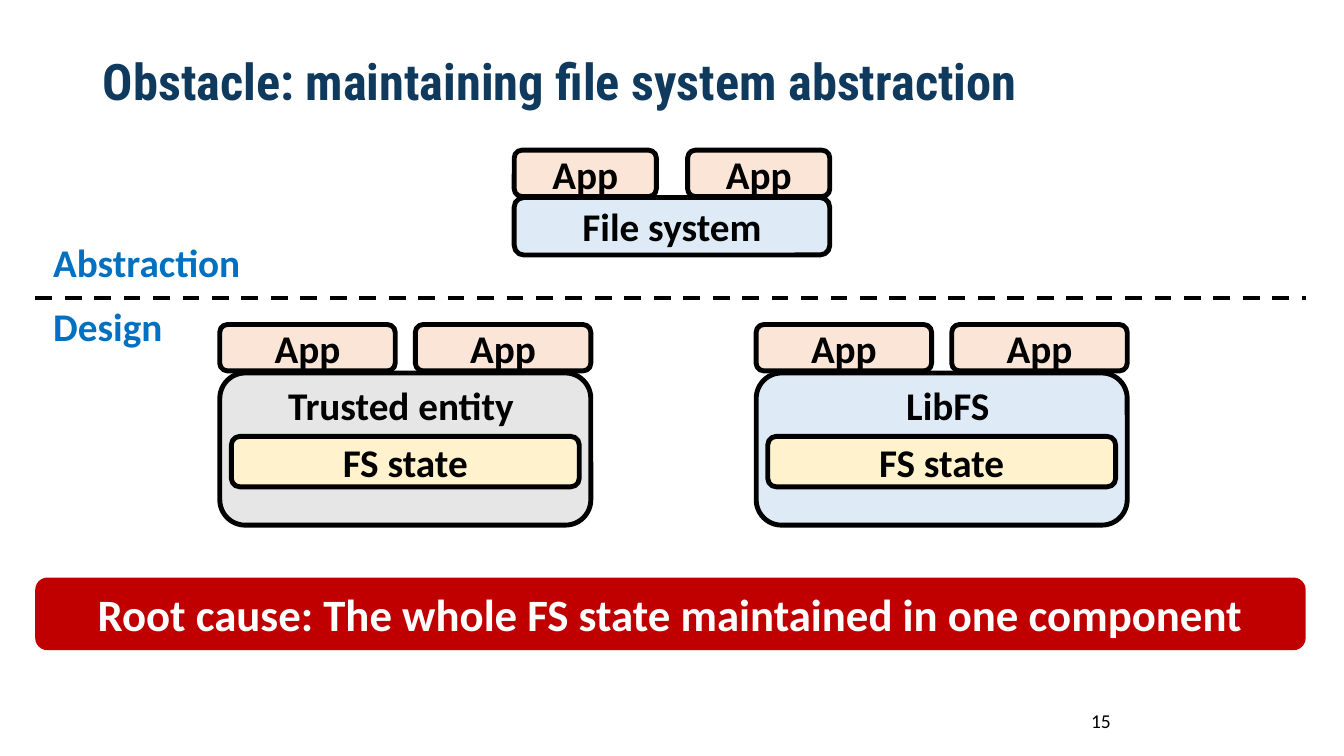
from pptx import Presentation
from pptx.dml.color import RGBColor
from pptx.enum.dml import MSO_LINE
from pptx.enum.shapes import MSO_CONNECTOR, MSO_SHAPE
from pptx.enum.text import MSO_ANCHOR, MSO_AUTO_SIZE, PP_ALIGN
from pptx.oxml.ns import qn
from pptx.util import Inches, Pt

ROUNDED = MSO_SHAPE.ROUNDED_RECTANGLE
STRAIGHT = MSO_CONNECTOR.STRAIGHT
DASH = MSO_LINE.DASH
MIDDLE, TOP = MSO_ANCHOR.MIDDLE, MSO_ANCHOR.TOP
LEFT, CENTER = PP_ALIGN.LEFT, PP_ALIGN.CENTER
NO_AUTOFIT = MSO_AUTO_SIZE.NONE

BLACK = RGBColor(0x00, 0x00, 0x00)
WHITE = RGBColor(0xFF, 0xFF, 0xFF)
NAVY = RGBColor(0x0F, 0x3A, 0x5D)
BLUE = RGBColor(0x00, 0x70, 0xC0)
RED = RGBColor(0xC0, 0x00, 0x00)
PEACH = RGBColor(0xFB, 0xE5, 0xD6)
PALE_BLUE = RGBColor(0xDE, 0xEB, 0xF7)
GRAY = RGBColor(0xE7, 0xE6, 0xE6)
CREAM = RGBColor(0xFF, 0xF2, 0xCC)

# Content
TITLE = "Obstacle: maintaining file system abstraction"
APP, FILE_SYSTEM, STATE = "App", "File system", "FS state"
ROOT_CAUSE = "Root cause: The whole FS state maintained in one component"
PAGE_NUMBER = "15"
LEVELS = [("Abstraction", 2.32), ("Design", 2.95)]  # label, top
# label, fill, panel left, label left, label width
DESIGNS = [
    ("Trusted entity", GRAY, 2.18, 2.76, 3.21),
    ("LibFS", PALE_BLUE, 7.5, 8.89, 1.06),
]

# Shared geometry
MARGIN, FULL_WIDTH = 0.35, 12.6
DIVIDER_TOP = 2.96
APP_HEIGHT = 0.46
STACK_LEFT, STACK_WIDTH = 5.1, 3.13
PANEL_WIDTH, STATE_WIDTH = 3.68, 3.45


def write(shape, text, size=28, color=BLACK, align=CENTER, anchor=MIDDLE,
          bold=True, font="Calibri"):
    frame = shape.text_frame
    frame.text = text
    frame.word_wrap = True
    frame.auto_size = NO_AUTOFIT
    frame.vertical_anchor = anchor
    para = frame.paragraphs[0]
    para.alignment = align
    para.font.name = font
    para.font.size = Pt(size)
    para.font.bold = bold
    para.font.color.rgb = color


def add_box(page, left, top, width, height, fill, text="", outlined=True, **style):
    box = page.shapes.add_shape(
        ROUNDED, Inches(left), Inches(top), Inches(width), Inches(height))
    box.shadow.inherit = False
    box.fill.solid()
    box.fill.fore_color.rgb = fill
    if outlined:
        box.line.color.rgb = BLACK
        box.line.width = Pt(3.5)
    else:
        box.line.fill.background()
    if text:
        write(box, text, **style)


def add_label(page, left, top, width, height, text, **style):
    label = page.shapes.add_textbox(
        Inches(left), Inches(top), Inches(width), Inches(height))
    write(label, text, **style)


def add_app_pair(page, left, top, total_width, app_width):
    """Two apps, flush with the two ends of the block below."""
    for app_left in (left, left + total_width - app_width):
        add_box(page, app_left, top, app_width, APP_HEIGHT, PEACH, APP)


def main():
    deck = Presentation()
    deck.slide_width, deck.slide_height = Inches(13.33), Inches(7.5)
    page = deck.slides.add_slide(deck.slide_layouts.get_by_name("Title Only"))

    # Title and page number
    title = page.shapes.title
    title.left, title.top = Inches(0.92), Inches(0.4)
    title.width, title.height = Inches(12.32), Inches(0.87)
    write(title, TITLE, size=36, color=NAVY, align=LEFT, font="Roboto Condensed")
    title.text_frame.paragraphs[0].line_spacing = 0.9
    add_label(page, 9.42, 6.95, 3, 0.4, PAGE_NUMBER, size=14, bold=False)

    # Abstraction: apps on top of one file system
    add_app_pair(page, STACK_LEFT, 1.49, STACK_WIDTH, 1.41)
    add_box(page, STACK_LEFT, 1.96, STACK_WIDTH, 0.57, PALE_BLUE, FILE_SYSTEM)

    # Divider between the two levels
    divider = page.shapes.add_connector(
        STRAIGHT, Inches(MARGIN), Inches(DIVIDER_TOP),
        Inches(MARGIN + FULL_WIDTH), Inches(DIVIDER_TOP))
    divider.line.color.rgb = BLACK
    divider.line.width = Pt(3)
    divider.line.dash_style = DASH
    properties = divider.element.spPr
    properties.append(properties.makeelement(qn("a:effectLst"), {}))
    for level, top in LEVELS:
        add_label(page, 0.43, top, 2.66, 0.57, level,
                  color=BLUE, align=LEFT, anchor=TOP)

    # Design: apps on top of the component that holds the state
    for name, fill, left, label_left, label_width in DESIGNS:
        add_app_pair(page, left, 3.22, PANEL_WIDTH, 1.74)
        add_box(page, left, 3.7, PANEL_WIDTH, 1.51, fill)
        add_label(page, label_left, 3.73, label_width, 0.5, name,
                  align=LEFT, anchor=TOP)
        state_left = left + (PANEL_WIDTH - STATE_WIDTH) / 2
        add_box(page, state_left, 4.33, STATE_WIDTH, 0.5, CREAM, STATE)

    # Conclusion
    add_box(page, MARGIN, 5.73, FULL_WIDTH, 0.72, RED, ROOT_CAUSE,
            outlined=False, size=32, color=WHITE)

    deck.save("out.pptx")


if __name__ == "__main__":
    main()
